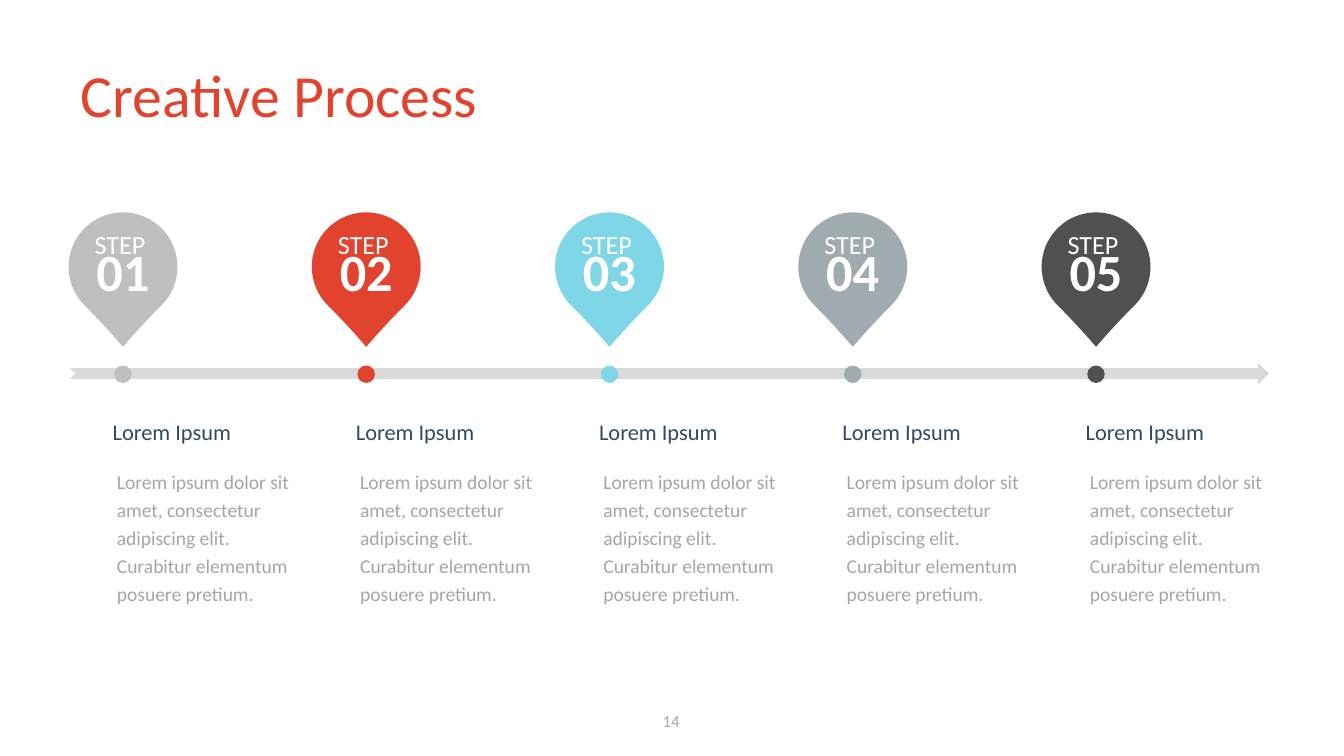
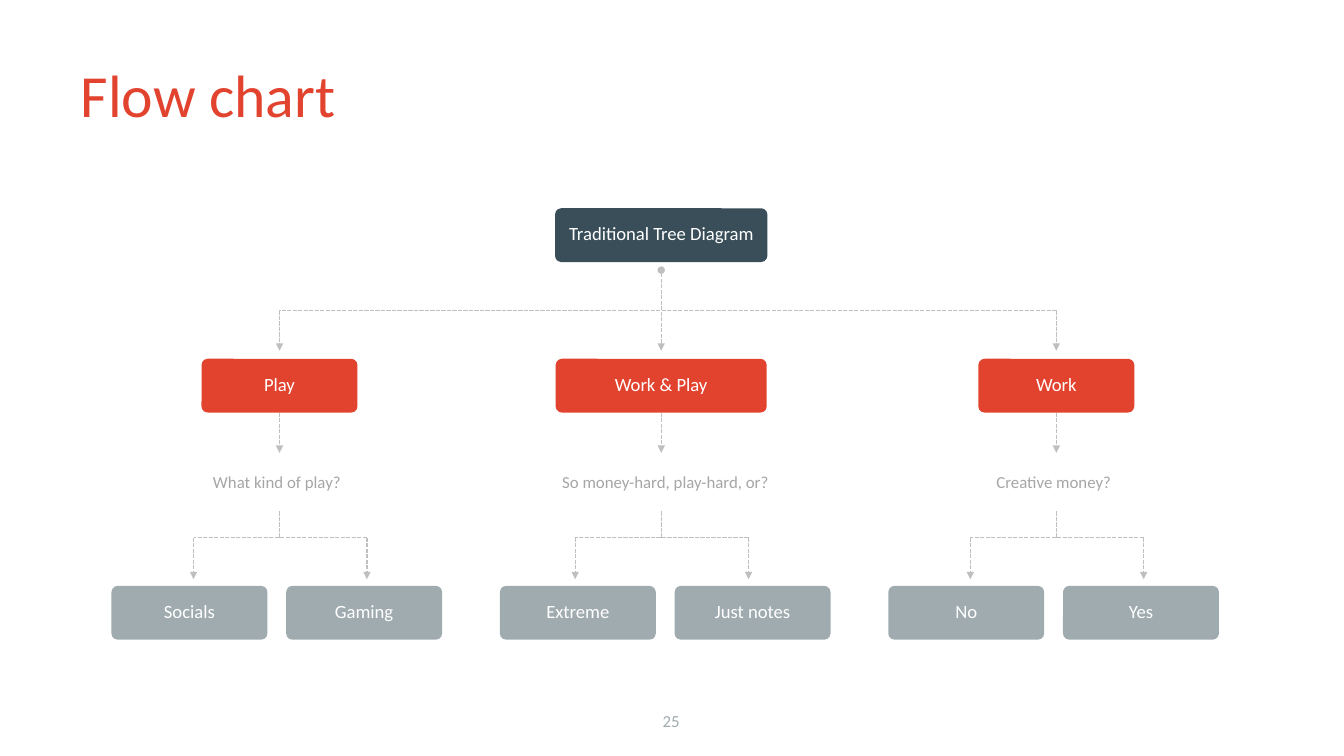
from pptx import Presentation
from pptx.dml.color import RGBColor
from pptx.enum import dml, shapes, text
from pptx.oxml import ns
from pptx.util import Inches, Pt
from lxml import etree

FONT = "Calibri"
COLORS = {
    "red": "E2432F", "silver": "BFBFBF", "sky": "7FD6E6", "steel": "A0ABAF",
    "charcoal": "505050", "slate": "394E59", "navy": "33495F",
    "body": "A6A6A6", "track": "D9D9D9", "white": "FFFFFF",
}
LEFT, CENTER = text.PP_ALIGN.LEFT, text.PP_ALIGN.CENTER
TOP, MIDDLE = text.MSO_ANCHOR.TOP, text.MSO_ANCHOR.MIDDLE
SHAPE = shapes.MSO_SHAPE

STEP_COLORS = ["silver", "red", "sky", "steel", "charcoal"]
STEP_PITCH = 1.81
STEP_HEADING = "Lorem Ipsum"
STEP_BODY = ("Lorem ipsum dolor sit amet, consectetur adipiscing elit. "
             "Curabitur elementum posuere pretium.")

BRANCHES = [
    ("Play", 1.16, 1.25, "What kind of play?", ["Socials", "Gaming"]),
    ("Work & Play", 1.57, 1.2, "So money-hard, play-hard, or?", ["Extreme", "Just notes"]),
    ("Work", 1.16, 1.25, "Creative money?", ["No", "Yes"]),
]
BRANCH_LEFT, BRANCH_PITCH, BRANCH_WIDTH = 0.83, 2.89, 2.46
NODE_HEIGHT, LEAF_WIDTH, LEAF_PITCH = 0.4, 1.16, 1.3


def rgb(name):
    return RGBColor.from_string(COLORS[name])


def style(paragraph, size, color, align=LEFT, bold=False):
    paragraph.alignment = align
    for run in paragraph.runs:
        run.font.name = FONT
        run.font.size = Pt(size)
        run.font.bold = bold
        run.font.color.rgb = rgb(color)


def set_frame(frame, anchor, insets):
    frame.word_wrap = True
    frame.vertical_anchor = anchor
    (frame.margin_left, frame.margin_top,
     frame.margin_right, frame.margin_bottom) = map(Inches, insets)


def add_text(slide, box, lines, size, color, align=LEFT, anchor=TOP,
             insets=(0.1, 0.05, 0.1, 0.05)):
    frame = slide.shapes.add_textbox(*map(Inches, box)).text_frame
    set_frame(frame, anchor, insets)
    frame.text = lines
    for paragraph in frame.paragraphs:
        style(paragraph, size, color, align)
    return frame


def add_solid(slide, kind, box, color):
    solid = slide.shapes.add_shape(kind, *map(Inches, box))
    solid.shadow.inherit = False
    solid.fill.solid()
    solid.fill.fore_color.rgb = rgb(color)
    solid.line.fill.background()
    return solid


def add_node(slide, box, label, color):
    node = add_solid(slide, SHAPE.ROUNDED_RECTANGLE, box, color)
    node.adjustments[0] = 0.115
    set_frame(node.text_frame, MIDDLE, (0, 0, 0, 0.03))
    node.text_frame.text = label
    style(node.text_frame.paragraphs[0], 10, "white", CENTER)
    return node


def add_link(slide, start, end, head=None, tail=None):
    link = slide.shapes.add_connector(
        shapes.MSO_CONNECTOR.STRAIGHT, *map(Inches, (*start, *end)))
    link.line.color.rgb = rgb("silver")
    link.line.width = Pt(0.75)
    link.line.dash_style = dml.MSO_LINE.SQUARE_DOT
    properties = link.element.spPr
    outline = properties.find(ns.qn("a:ln"))
    for tag, arrow in (("a:headEnd", head), ("a:tailEnd", tail)):
        if arrow:
            etree.SubElement(outline, ns.qn(tag), type=arrow, w="sm", len="sm")
    etree.SubElement(properties, ns.qn("a:effectLst"))
    return link


def add_page(deck, heading, number):
    slide = deck.slides.add_slide(deck.slide_layouts[5])
    title = slide.shapes.title
    title.left, title.top, title.width, title.height = map(Inches, (0.5, 0.23, 9, 0.94))
    title.text_frame.text = heading
    title.text_frame.vertical_anchor = MIDDLE
    style(title.text_frame.paragraphs[0], 32, "red")
    add_text(slide, (3.83, 5.21, 2.33, 0.3), number, 9, "steel", CENTER, MIDDLE)
    return slide


def add_pin(slide, left, top, number, color):
    pin = add_solid(slide, SHAPE.TEAR, (left, top, 0.81, 0.81), color)
    pin.adjustments[0] = 1.04
    pin.rotation = 135
    frame = add_text(slide, (left + 0.07, top + 0.13, 0.67, 0.6),
                     f"STEP \n{number:02d}", 14, "white", CENTER, MIDDLE, (0.1, 0, 0.1, 0))
    for paragraph in frame.paragraphs:
        paragraph.line_spacing = 0.5
    digits = frame.paragraphs[1]
    digits.space_before = Pt(5)
    style(digits, 28, "white", CENTER, bold=True)


def add_step_notes(slide, left, top):
    add_text(slide, (left, top, 1.44, 0.3), STEP_HEADING, 12, "navy")
    notes = add_text(slide, (left, top + 0.33, 1.58, 1.35), STEP_BODY, 10.5, "body",
                     insets=(0.13, 0.07, 0.13, 0.07))
    notes.paragraphs[0].line_spacing = 1.2


def build_process(deck):
    slide = add_page(deck, "Creative Process", "14")
    left, top = 0.51, 1.58
    add_solid(slide, SHAPE.NOTCHED_RIGHT_ARROW, (left + 0.01, top + 1.12, 8.92, 0.16), "track")
    for index, color in enumerate(STEP_COLORS):
        step_left = left + index * STEP_PITCH
        add_pin(slide, step_left, top, index + 1, color)
        add_solid(slide, SHAPE.OVAL, (step_left + 0.34, top + 1.14, 0.13, 0.13), color)
        add_step_notes(slide, step_left + 0.23, top + 1.48)


def add_branch(slide, left, top, topic, topic_width, stem_offset, question, leaves):
    stem = left + stem_offset
    topic_node = add_node(slide, (stem - topic_width / 2, top, topic_width, NODE_HEIGHT),
                          topic, "red")
    descent = add_link(slide, (stem, top + NODE_HEIGHT), (stem, top + 0.7), tail="triangle")
    descent.begin_connect(topic_node, 2)
    add_text(slide, (left, top + 0.79, BRANCH_WIDTH, 0.29), question, 9, "body", CENTER)

    fork = top + 1.33
    ends = [stem - 0.64, stem + 0.65]
    add_link(slide, (stem, fork), (stem, fork - 0.2))
    add_link(slide, (ends[1], fork), (ends[0], fork))
    for index, (leaf, end) in enumerate(zip(leaves, ends)):
        add_link(slide, (end, fork), (end, fork + 0.31), tail="triangle")
        add_node(slide, (left + index * LEAF_PITCH, top + 1.69, LEAF_WIDTH, NODE_HEIGHT),
                 leaf, "steel")
    return stem


def build_tree(deck):
    slide = add_page(deck, "Flow chart", "25")
    top = 1.55
    add_node(slide, (4.13, top, 1.58, NODE_HEIGHT), "Traditional Tree Diagram", "slate")
    stems = [add_branch(slide, BRANCH_LEFT + index * BRANCH_PITCH, top + 1.12, *branch)
             for index, branch in enumerate(BRANCHES)]

    first, middle, last = stems
    fork, tip = top + 0.76, top + 1.06
    add_link(slide, (middle, top + 0.46), (middle, tip), head="oval", tail="triangle")
    add_link(slide, (last, fork), (first, fork))
    for stem in (first, last):
        add_link(slide, (stem, fork), (stem, tip), tail="triangle")


def main():
    deck = Presentation()
    deck.slide_width = Inches(10)
    deck.slide_height = deck.slide_width * 9 // 16
    build_process(deck)
    build_tree(deck)
    deck.save("out.pptx")


if __name__ == "__main__":
    main()
